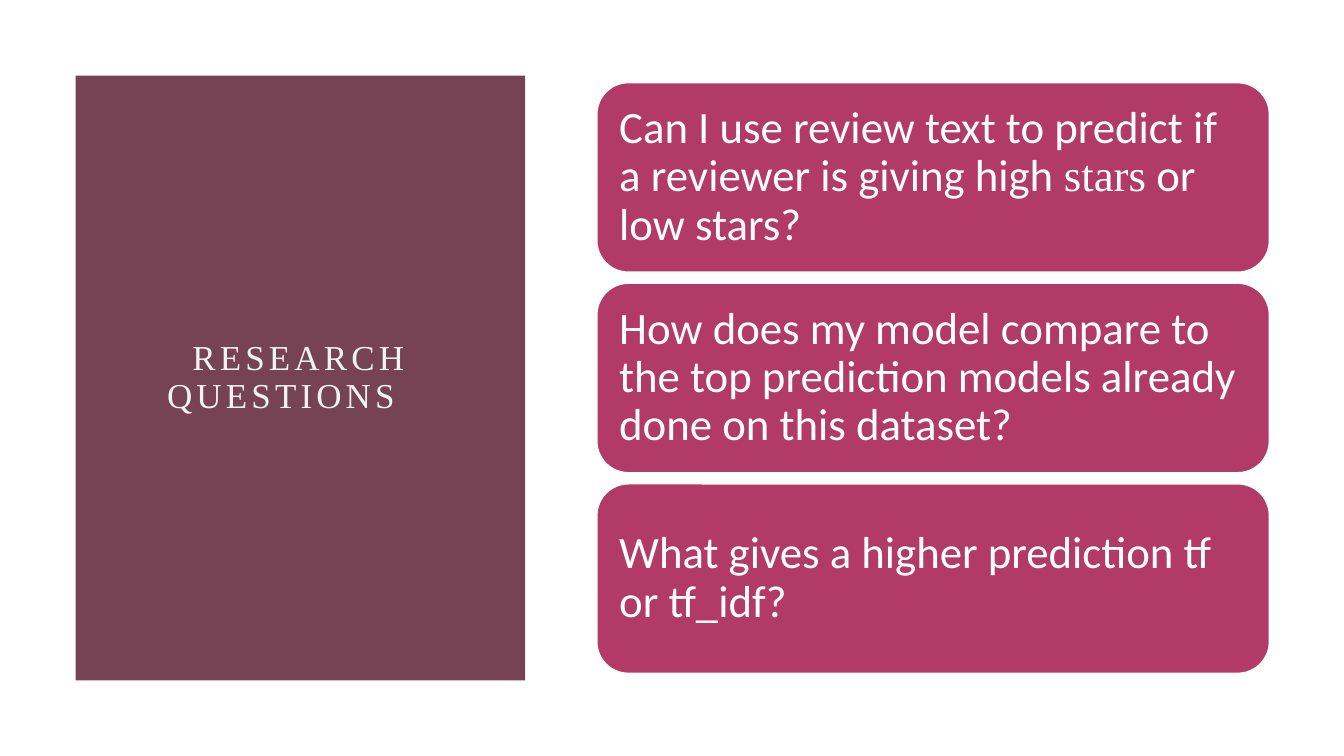
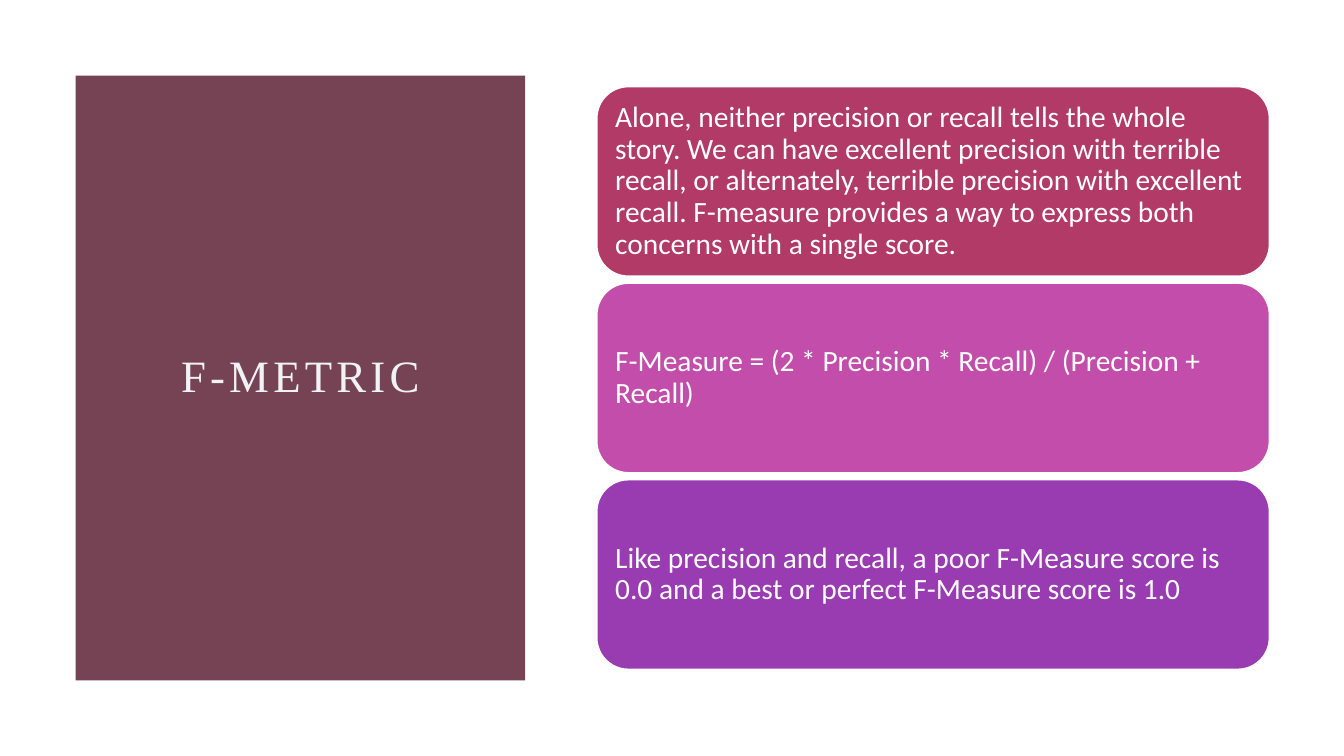
from dataclasses import dataclass

from pptx import Presentation
from pptx.dml.color import RGBColor
from pptx.enum.shapes import MSO_SHAPE as Shape
from pptx.enum.text import MSO_ANCHOR as Anchor, PP_ALIGN as Align
from pptx.util import Inches, Pt

# Shared look
PANEL_COLOR, TITLE_COLOR = "764354", "F0F3F3"
ROSE, PINK, PURPLE, WHITE = "B13B66", "C34DAA", "993BB1", "FFFFFF"
TITLE_FONT, BODY_FONT = "Times New Roman", "Calibri"
SLIDE_WIDTH, SLIDE_HEIGHT = 13.33, 7.5
PANEL_LEFT, PANEL_TOP, PANEL_WIDTH, PANEL_HEIGHT = 0.75, 0.75, 4.46, 6
CARD_LEFT, CARD_WIDTH, CARD_HEIGHT = 5.92, 6.67, 1.88
LINE_SPACING = 0.9
TITLE_TRACKING = 3  # points


@dataclass
class Span:
    text: str
    font: str = BODY_FONT


@dataclass
class Card:
    color: str
    spans: list[Span]


@dataclass
class CardPage:
    title: str
    title_size: int
    text_size: int
    gap: float
    inset: float
    cards: list[Card]


PAGES = [
    CardPage("RESEARCH QUESTIONS   ", 25, 32, gap=0.11, inset=0.13, cards=[
        Card(ROSE, [
            Span("Can I use review text to predict if a reviewer is giving high "),
            Span("stars", TITLE_FONT),
            Span(" or low stars?"),
        ]),
        Card(ROSE, [Span("How does my model compare to the top prediction models "
                         "already done on this dataset?")]),
        Card(ROSE, [Span("What gives a higher prediction tf or tf_idf?")]),
    ]),
    CardPage("F-METRIC", 32, 21, gap=0.07, inset=0.09, cards=[
        Card(ROSE, [Span("Alone, neither precision or recall tells the whole story. "
                         "We can have excellent precision with terrible recall, or "
                         "alternately, terrible precision with excellent recall. "
                         "F-measure provides a way to express both concerns with a "
                         "single score.")]),
        Card(PINK, [Span("F-Measure = (2 * Precision * Recall) / (Precision + Recall)")]),
        Card(PURPLE, [Span("Like precision and recall, a poor F-Measure score is 0.0 "
                           "and a best or perfect F-Measure score is 1.0")]),
    ]),
]


def rgb(color: str) -> RGBColor:
    return RGBColor.from_string(color)


def add_block(page, kind, left: float, top: float, width: float, height: float,
              color: str, inset_x: float, inset_y: float):
    """Add a filled shape whose text is centred vertically."""
    block = page.shapes.add_shape(
        kind, Inches(left), Inches(top), Inches(width), Inches(height))
    block.shadow.inherit = False
    block.fill.solid()
    block.fill.fore_color.rgb = rgb(color)
    block.line.fill.background()
    frame = block.text_frame
    frame.word_wrap = True
    frame.vertical_anchor = Anchor.MIDDLE
    frame.margin_left = frame.margin_right = Inches(inset_x)
    frame.margin_top = frame.margin_bottom = Inches(inset_y)
    return block


def write_spans(block, spans: list[Span], size: int, color: str, align) -> None:
    para = block.text_frame.paragraphs[0]
    para.alignment = align
    para.line_spacing = LINE_SPACING
    for span in spans:
        run = para.add_run()
        run.text = span.text
        run.font.name = span.font
        run.font.size = Pt(size)
        run.font.color.rgb = rgb(color)


def add_title_panel(page, title: str, size: int) -> None:
    panel = add_block(page, Shape.RECTANGLE, PANEL_LEFT, PANEL_TOP, PANEL_WIDTH,
                      PANEL_HEIGHT, PANEL_COLOR, inset_x=0.85, inset_y=0.8)
    write_spans(panel, [Span(title, TITLE_FONT)], size, TITLE_COLOR, Align.CENTER)
    # Letter spacing is stored in hundredths of a point
    for run in panel.text_frame.paragraphs[0].runs:
        run._r.get_or_add_rPr().set("spc", str(TITLE_TRACKING * 100))


def add_cards(page, content: CardPage) -> None:
    """Stack the cards with equal gaps, centred on the slide height."""
    pitch = CARD_HEIGHT + content.gap
    first_top = (SLIDE_HEIGHT - len(content.cards) * pitch + content.gap) / 2
    for index, card in enumerate(content.cards):
        block = add_block(page, Shape.ROUNDED_RECTANGLE, CARD_LEFT,
                          first_top + index * pitch, CARD_WIDTH, CARD_HEIGHT,
                          card.color, content.inset, content.inset)
        block.line.color.rgb = rgb(WHITE)
        block.line.width = Pt(1)
        write_spans(block, card.spans, content.text_size, WHITE, Align.LEFT)


def main() -> None:
    deck = Presentation()
    deck.slide_width = Inches(SLIDE_WIDTH)
    deck.slide_height = Inches(SLIDE_HEIGHT)
    blank = deck.slide_layouts[6]
    for content in PAGES:
        page = deck.slides.add_slide(blank)
        add_title_panel(page, content.title, content.title_size)
        add_cards(page, content)
    deck.save("out.pptx")


if __name__ == "__main__":
    main()
